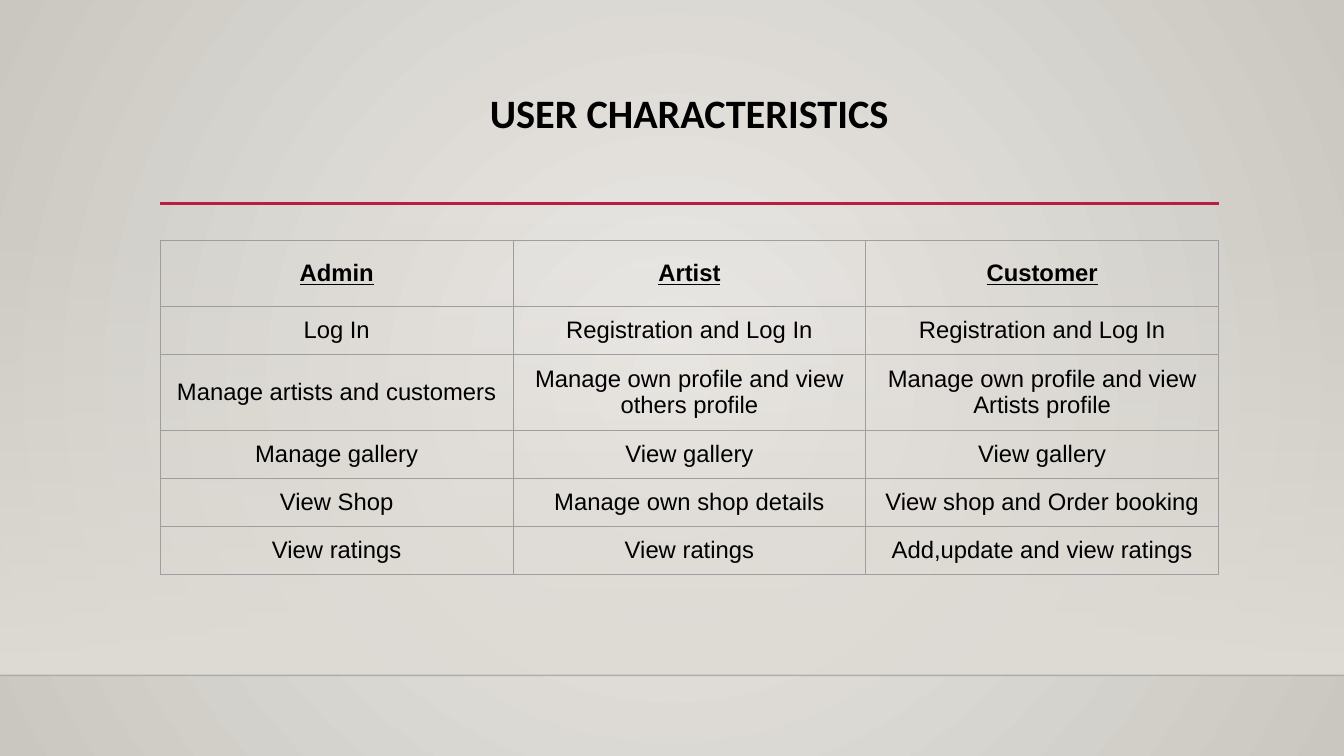
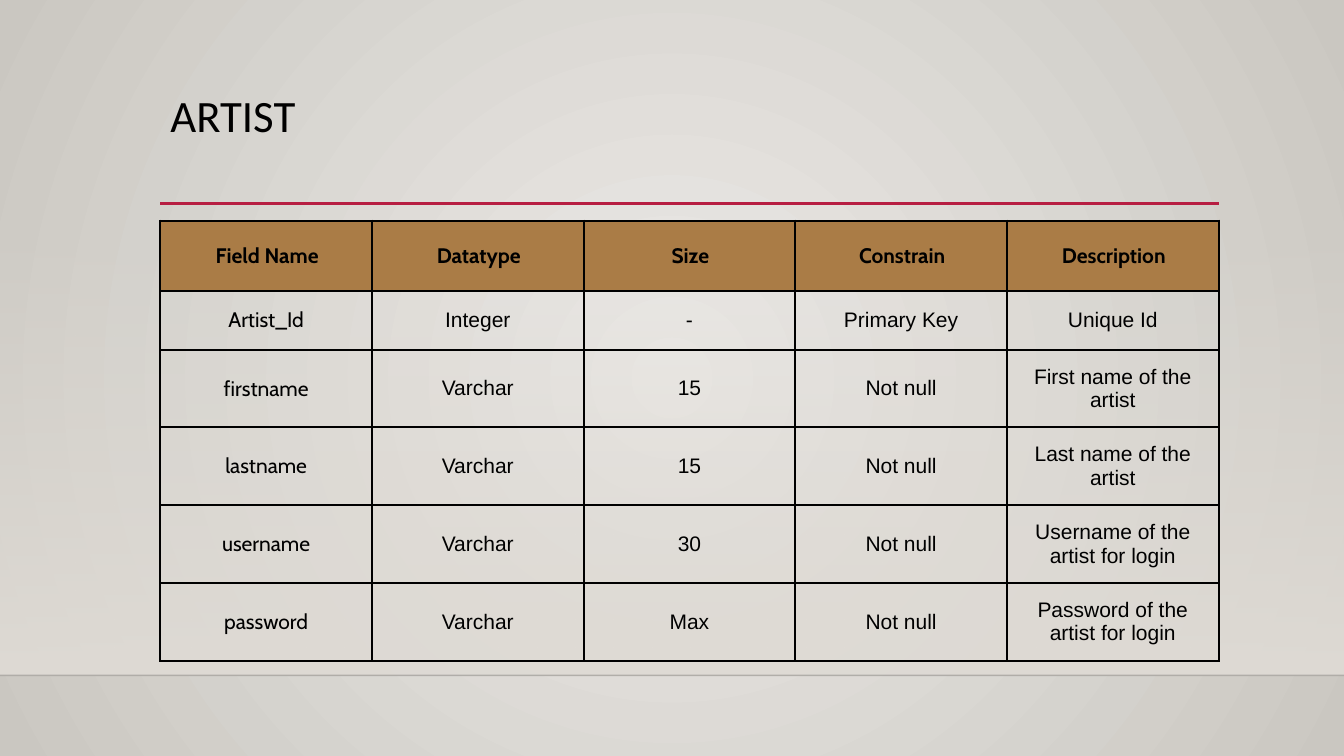
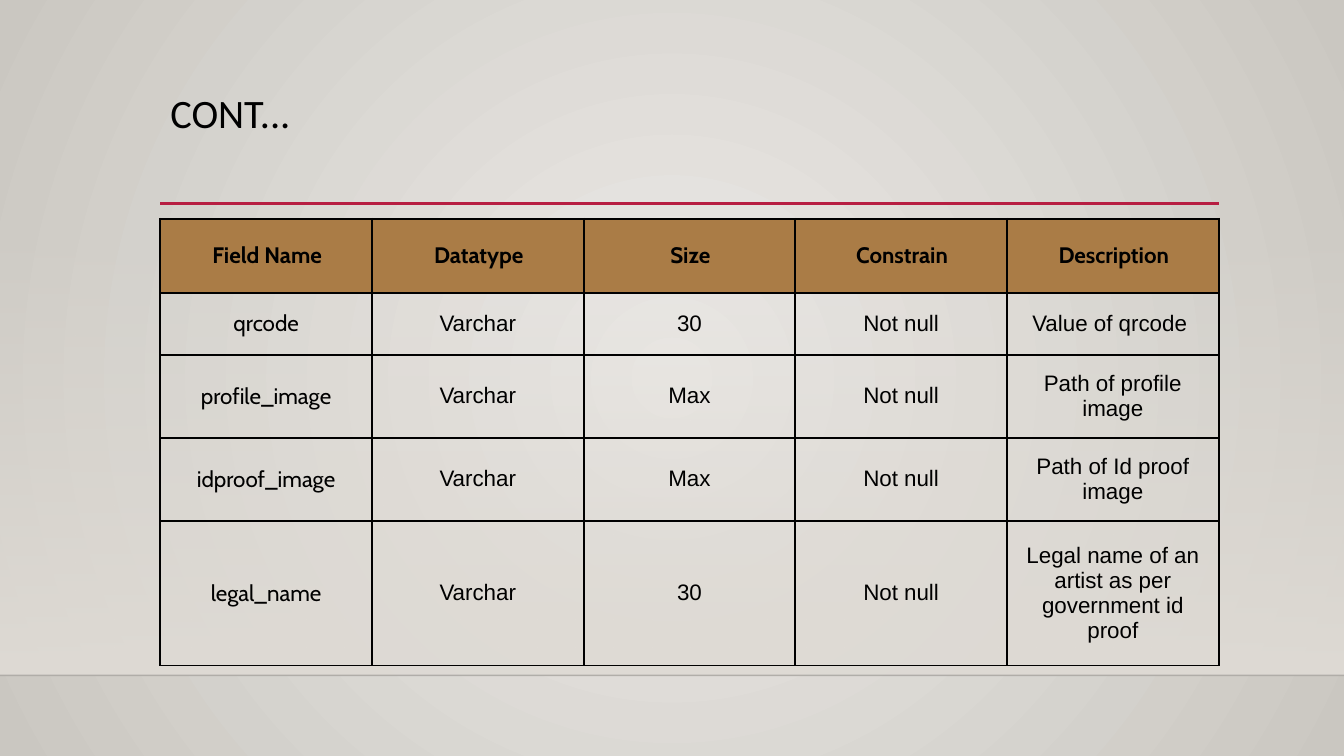
from lxml.etree import SubElement
from pptx import Presentation
from pptx.dml.color import RGBColor
from pptx.enum.shapes import MSO_CONNECTOR, MSO_SHAPE
from pptx.enum.text import MSO_ANCHOR, MSO_AUTO_SIZE, PP_ALIGN
from pptx.oxml.ns import qn
from pptx.util import Cm, Pt

# Shared measures (cm) and colours
SLIDE_W, SLIDE_H = 33.87, 19.05
LEFT, CONTENT_W = 4.04, 26.67
RULE_Y = 5.13
PANEL_TOP, FLOOR_Y = 5.61, 17.02
BLACK, RED, BROWN, GREY = "000000", "B71E42", "AA7C46", "9E9E9E"
SAND, GLOW, EDGE = "DFDBD5", "ECEAE7", "CAC7C1"

FIELD_HEADER = ["Field Name", "Datatype", "Size", "Constrain", "Description"]

USER_ROWS = [
    ["Admin", "Artist", "Customer"],
    ["Log In", "Registration and Log In", "Registration and Log In"],
    ["Manage artists and customers", "Manage own profile and view others profile",
     "Manage own profile and view Artists profile"],
    ["Manage gallery", "View gallery", "View gallery"],
    ["View Shop", "Manage own shop details", "View shop and Order booking"],
    ["View ratings", "View ratings", "Add,update and view ratings"],
]
ARTIST_ROWS = [
    FIELD_HEADER,
    ["Artist_Id", "Integer", "-", "Primary Key", "Unique Id"],
    ["firstname", "Varchar", "15", "Not null", "First name of the artist"],
    ["lastname", "Varchar", "15", "Not null", "Last name of the artist"],
    ["username", "Varchar", "30", "Not null", "Username of the artist for login"],
    ["password", "Varchar", "Max", "Not null", "Password of the artist for login"],
]
MORE_ARTIST_ROWS = [
    FIELD_HEADER,
    ["qrcode", "Varchar", "30", "Not null", "Value of qrcode "],
    ["profile_image", "Varchar", "Max", "Not null", "Path of profile image"],
    ["idproof_image", "Varchar", "Max", "Not null", "Path of Id proof image"],
    ["legal_name", "Varchar", "30", "Not null",
     "Legal name of an artist as per government id proof"],
]

# Table looks: the header fill, its indent and the font of key cells vary
USER_LOOK = dict(size=17, inset=0.25, border=GREY, border_pt=0.75, key_font="Arial",
                 underline=True, header_fill=None, header_indent=0)
FIELD_LOOK = dict(size=15, inset=0.23, border=BLACK, border_pt=1.5, key_font="Cabin",
                  underline=False, header_fill=BROWN, header_indent=0.05)


def colour(hex_value):
    return RGBColor.from_string(hex_value)


def set_all(target, **values):
    for name, value in values.items():
        setattr(target, name, value)


def set_font(font, hex_value=BLACK, **values):
    set_all(font, **values)
    font.color.rgb = colour(hex_value)


def set_alpha(srgb, percent):
    SubElement(srgb, qn("a:alpha"), val=str(percent * 1000))


def two_stop_gradient(fill, first, last):
    fill.gradient()
    for stop, hex_value, position in zip(fill.gradient_stops, (first, last), (0, 1)):
        stop.color.rgb = colour(hex_value)
        stop.position = position


# Parts every slide shares
def set_background(master):
    two_stop_gradient(master.background.fill, GLOW, EDGE)
    gradient = next(master.element.iter(qn("a:gradFill")))
    for linear in gradient.findall(qn("a:lin")):
        gradient.remove(linear)
    circle = SubElement(gradient, qn("a:path"), path="circle")
    SubElement(circle, qn("a:fillToRect"), l="50000", t="50000", r="50000", b="50000")


def add_line(slide, left, y, width, hex_value, points, alpha=100):
    line = slide.shapes.add_connector(
        MSO_CONNECTOR.STRAIGHT, Cm(left), Cm(y), Cm(left + width), Cm(y))
    line.line.color.rgb = colour(hex_value)
    line.line.width = Pt(points)
    properties = line.element.spPr
    set_alpha(next(properties.iter(qn("a:srgbClr"))), alpha)
    SubElement(properties, qn("a:effectLst"))


def add_wall_and_rule(slide):
    wall = slide.shapes.add_shape(MSO_SHAPE.RECTANGLE, 0, Cm(PANEL_TOP),
                                  Cm(SLIDE_W), Cm(FLOOR_Y - PANEL_TOP))
    wall.shadow.inherit = False
    wall.line.fill.background()
    two_stop_gradient(wall.fill, SAND, SAND)
    wall.fill.gradient_angle = 270
    for srgb, alpha in zip(wall.element.spPr.iter(qn("a:srgbClr")), (0, 100)):
        set_alpha(srgb, alpha)
    add_line(slide, 0, FLOOR_Y, SLIDE_W, BLACK, 1, alpha=20)
    add_line(slide, LEFT, RULE_Y, CONTENT_W, RED, 2.5)


def set_title(slide, text, size, align, bold):
    title = slide.shapes.title
    set_all(title, left=Cm(LEFT), top=Cm(2.24), width=Cm(CONTENT_W), height=Cm(2.92))
    frame = title.text_frame
    frame.text = text
    set_all(frame, vertical_anchor=MSO_ANCHOR.TOP, auto_size=MSO_AUTO_SIZE.NONE,
            word_wrap=True)
    heading = frame.paragraphs[0]
    set_all(heading, alignment=align, line_spacing=0.9)
    set_font(heading.runs[0].font, name="Calibri", size=Pt(size), bold=bold)


# Tables
def add_borders(cell, hex_value, points):
    properties = cell._tc.get_or_add_tcPr()
    for side in ("lnL", "lnR", "lnT", "lnB"):
        edge = SubElement(properties, qn(f"a:{side}"), w=str(Pt(points)))
        SubElement(SubElement(edge, qn("a:solidFill")), qn("a:srgbClr"), val=hex_value)


def fill_cell(cell, text, look, is_header, is_key):
    inset = Cm(look["inset"])
    set_all(cell, text=text, vertical_anchor=MSO_ANCHOR.MIDDLE, margin_left=inset,
            margin_right=inset, margin_top=inset, margin_bottom=inset)
    add_borders(cell, look["border"], look["border_pt"])
    if is_header and look["header_fill"]:
        cell.fill.solid()
        cell.fill.fore_color.rgb = colour(look["header_fill"])
    else:
        cell.fill.background()
    entry = cell.text_frame.paragraphs[0]
    entry.alignment = PP_ALIGN.CENTER
    if is_header and look["header_indent"]:
        entry._p.get_or_add_pPr().set("marL", str(Cm(look["header_indent"])))
    set_font(entry.runs[0].font, size=Pt(look["size"]), bold=is_header,
             underline=is_header and look["underline"],
             name=look["key_font"] if is_header or is_key else "Arial")


def add_grid(slide, rows, top, heights, look):
    columns = len(rows[0])
    grid = slide.shapes.add_table(len(rows), columns, Cm(LEFT), Cm(top),
                                  Cm(CONTENT_W), Cm(sum(heights))).table
    set_all(grid, first_row=False, horz_banding=False)
    for column in grid.columns:
        column.width = Cm(CONTENT_W / columns)
    for r, (texts, height) in enumerate(zip(rows, heights)):
        grid.rows[r].height = Cm(height)
        for c, text in enumerate(texts):
            fill_cell(grid.cell(r, c), text, look, is_header=r == 0, is_key=c == 0)


def add_table_slide(prs, title, rows, top, heights, look,
                    title_size=28.8, align=PP_ALIGN.LEFT, bold=False):
    slide = prs.slides.add_slide(prs.slide_layouts[5])
    add_wall_and_rule(slide)
    set_title(slide, title, title_size, align, bold)
    add_grid(slide, rows, top, heights, look)


def main():
    prs = Presentation()
    set_all(prs, slide_width=Cm(SLIDE_W), slide_height=Cm(SLIDE_H))
    set_background(prs.slide_master)

    add_table_slide(prs, "USER CHARACTERISTICS", USER_ROWS, 6.07,
                    [1.64, 1.21, 1.92, 1.21, 1.21, 1.21], USER_LOOK,
                    align=PP_ALIGN.CENTER, bold=True)
    add_table_slide(prs, "ARTIST", ARTIST_ROWS, 5.56,
                    [1.77, 1.48] + [1.96] * 4, FIELD_LOOK, title_size=32)
    add_table_slide(prs, "CONT...", MORE_ARTIST_ROWS, 5.51,
                    [1.87, 1.56, 2.09, 2.09, 3.65], FIELD_LOOK | {"size": 16})
    prs.save("out.pptx")


if __name__ == "__main__":
    main()
